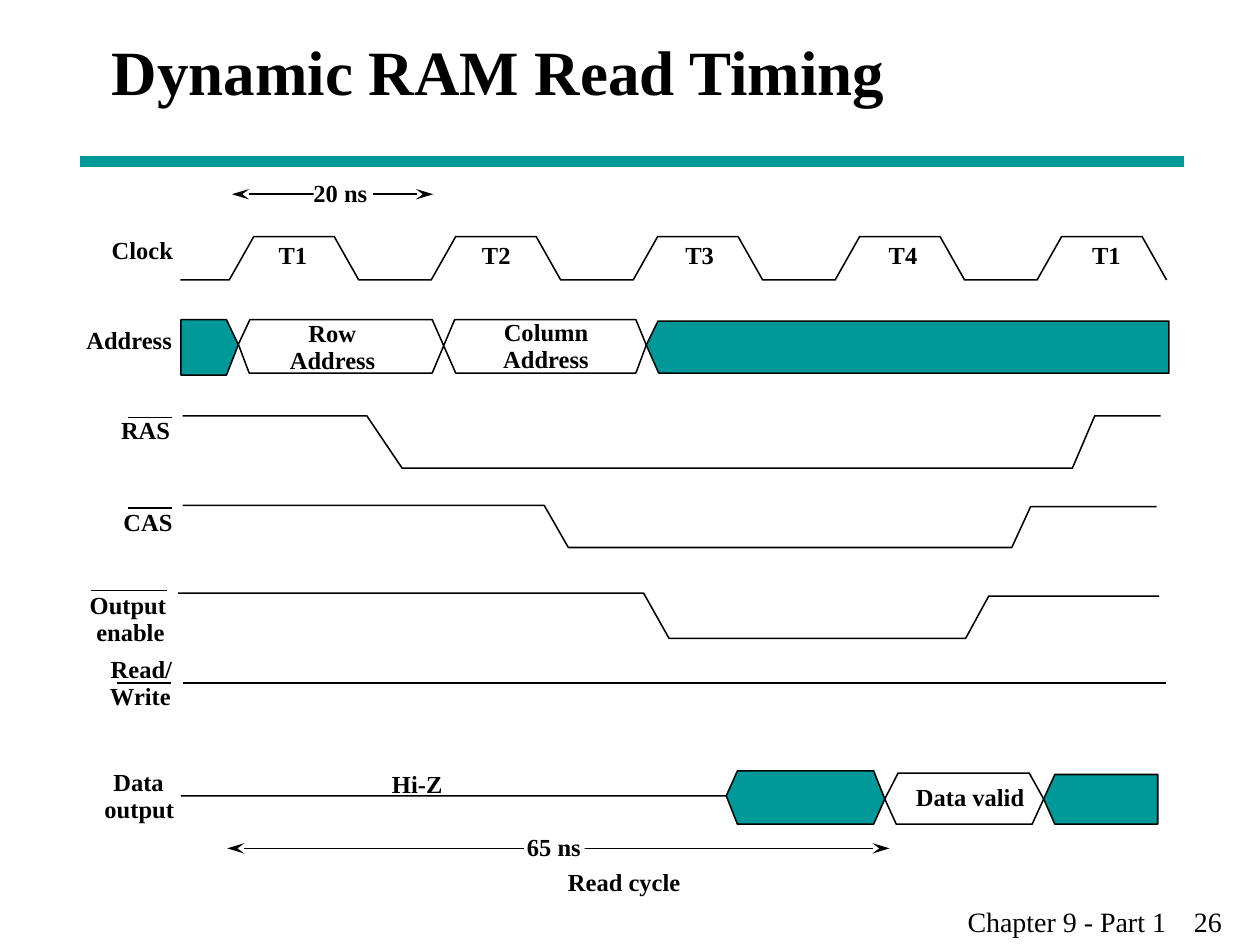
from lxml.etree import SubElement
from pptx import Presentation
from pptx.dml.color import RGBColor
from pptx.enum.shapes import MSO_CONNECTOR, MSO_SHAPE
from pptx.enum.text import MSO_ANCHOR, MSO_AUTO_SIZE, PP_ALIGN
from pptx.oxml.ns import qn
from pptx.util import Pt

COLORS = {"teal": "009999", "ink": "000000", "paper": "FFFFFF"}
FONT = "Times New Roman"
LINE_WIDTH = 0.88
LABEL_SLACK = 2

presentation = Presentation()
presentation.slide_width, presentation.slide_height = Pt(720), Pt(540)
slide = presentation.slides.add_slide(presentation.slide_layouts[6])
shapes = slide.shapes


def add_text(text, left, top, width, height=16.6, size=14, bold=True, label=True):
    slack = LABEL_SLACK if label else 0
    box = shapes.add_textbox(Pt(left - slack), Pt(top), Pt(width + 2 * slack), Pt(height))
    frame = box.text_frame
    frame.word_wrap = not label
    frame.auto_size = MSO_AUTO_SIZE.SHAPE_TO_FIT_TEXT if label else MSO_AUTO_SIZE.NONE
    frame.vertical_anchor = MSO_ANCHOR.MIDDLE if size > 20 else MSO_ANCHOR.TOP
    frame.margin_left = frame.margin_right = Pt(0 if label else 7.2)
    frame.margin_top = frame.margin_bottom = Pt(0 if label else 3.6)
    paragraph = frame.paragraphs[0]
    paragraph.text = text
    paragraph.alignment = PP_ALIGN.CENTER if label else PP_ALIGN.LEFT
    paragraph.font.name = FONT
    paragraph.font.size = Pt(size)
    paragraph.font.bold = bold
    paragraph.font.color.rgb = RGBColor.from_string(COLORS["ink"])


def add_outline(points, fill=None, close=False):
    corners = [(Pt(x), Pt(y)) for x, y in points]
    builder = shapes.build_freeform(*corners[0])
    builder.add_line_segments(corners[1:], close=close)
    shape = builder.convert_to_shape()
    shape.shadow.inherit = False
    if fill:
        shape.fill.solid()
        shape.fill.fore_color.rgb = RGBColor.from_string(COLORS[fill])
    else:
        shape.fill.background()
    shape.line.color.rgb = RGBColor.from_string(COLORS["ink"])
    shape.line.width = Pt(LINE_WIDTH)


# Title and footer
add_text("Dynamic RAM Read Timing", 56.8, 0, 612, 80.6, size=36, label=False)
add_text("Chapter 9 - Part 1    26", 545.8, 513.2, 174.2, 26.6, size=16, bold=False, label=False)

# Straight lines: title rule, read/write level, overbars, time spans
for x1, y1, x2, y2, color, width, arrows in [
    (46, 92.3, 676.8, 92.3, "teal", 6, False),
    (104.4, 390.2, 666, 390.2, "ink", LINE_WIDTH, False),
    (67, 390.2, 98, 390.2, "ink", LINE_WIDTH, False),
    (73, 238.5, 98.4, 238.5, "ink", LINE_WIDTH, False),
    (73, 290.3, 98.4, 290.3, "ink", LINE_WIDTH, False),
    (51.8, 337.5, 95.6, 337.5, "ink", LINE_WIDTH, False),
    (132.5, 111, 247.6, 111, "ink", LINE_WIDTH, True),
    (129.8, 484.8, 508.4, 484.8, "ink", LINE_WIDTH, True),
]:
    connector = shapes.add_connector(MSO_CONNECTOR.STRAIGHT, Pt(x1), Pt(y1), Pt(x2), Pt(y2))
    connector.line.color.rgb = RGBColor.from_string(COLORS[color])
    connector.line.width = Pt(width)
    if arrows:
        for end in ("a:headEnd", "a:tailEnd"):
            SubElement(connector.line._get_or_add_ln(), qn(end),
                       type="stealth", w="med", len="lg")
    SubElement(connector._element.spPr, qn("a:effectLst"))

# Time span values on white gaps
for text, left, top, gap_left, gap_width in [
    ("20 ns", 179, 101.5, 179.3, 33.8),
    ("65 ns", 301, 475.2, 299.5, 34.6),
]:
    gap = shapes.add_shape(MSO_SHAPE.RECTANGLE, Pt(gap_left), Pt(top + 2.9),
                           Pt(gap_width), Pt(14.4))
    gap.shadow.inherit = False
    gap.fill.solid()
    gap.fill.fore_color.rgb = RGBColor.from_string(COLORS["paper"])
    gap.line.fill.background()
    add_text(text, left, top, 31)

# Clock wave
clock_points = [(103, 160)]
for cycle, name in enumerate(["T1", "T2", "T3", "T4", "T1"]):
    rise = 131 + 115.4 * cycle
    clock_points += [(rise, 160), (rise + 14, 135.2), (rise + 60, 135.2), (rise + 74, 160)]
    add_text(name, 159.1 + 116.2 * cycle, 137, 16.6)
add_outline(clock_points)

# Control signals: high, low, high again
for points in [
    [(104.4, 237.6), (209.6, 237.6), (229.8, 267.5), (612.8, 267.5), (625.6, 237.6), (663.2, 237.6)],
    [(104.4, 288.8), (311, 288.8), (324.8, 312.9), (578.2, 312.9), (589, 289.5), (661, 289.5)],
    [(101.8, 339), (367.8, 339), (382.3, 364.8), (551.8, 364.8), (565, 340.7), (662.4, 340.7)],
]:
    add_outline(points)

# Address bus
add_outline([(103.4, 182.7), (129.4, 182.7), (136.2, 197), (129.4, 214.4), (103.4, 214.4)],
            "teal", close=True)
add_outline([(668, 213.2), (376.4, 213.2), (369.3, 197.2), (376, 183.5), (668, 183.5)],
            "teal", close=True)
add_outline([(350, 213.2), (260.4, 213.2), (247, 182.7), (142.8, 182.7), (136.2, 196.8),
             (142.4, 213.2), (247, 213.2), (259.8, 182.7), (363.4, 182.7), (369.3, 197.2),
             (363.4, 213.2), (350, 213.2)])

# Data bus
add_outline([(103.4, 454.8), (415, 454.8), (421.4, 440.5), (499.2, 440.5), (505.6, 456.6),
             (499.2, 471), (421.4, 471), (415, 454.8)], "teal")
add_outline([(589.8, 471), (512.2, 471), (505.6, 456.6), (513.2, 441.8), (588.2, 441.8),
             (596.4, 456.6)], close=True)
add_outline([(661.6, 471), (602.8, 471), (596.4, 456.6), (602.8, 442.6), (661.6, 442.6)],
            "teal", close=True)

# Signal names and bus contents
for text, left, top, width in [
    ("Clock", 63.7, 134.6, 35.3),
    ("Address", 49.3, 186, 49),
    ("RAS", 69.2, 237.3, 28),
    ("CAS", 70.6, 289.7, 28),
    ("Output", 51.1, 337.2, 44),
    ("enable", 55, 352.6, 39),
    ("Read/", 63.2, 373.7, 35.3),
    ("Write", 62.6, 389, 35.3),
    ("Data", 64.8, 438.5, 28.8),
    ("output", 59.8, 454, 39.6),
    ("Row", 176.2, 181.5, 27.4),
    ("Address", 165.6, 197, 49),
    ("Column", 288, 181.2, 48.2),
    ("Address", 287.5, 196.6, 49),
    ("Hi-Z", 224, 439.5, 28.8),
    ("Data valid", 523.4, 447, 62),
    ("Read cycle", 324.7, 495.2, 64),
]:
    add_text(text, left, top, width)

presentation.save("out.pptx")
